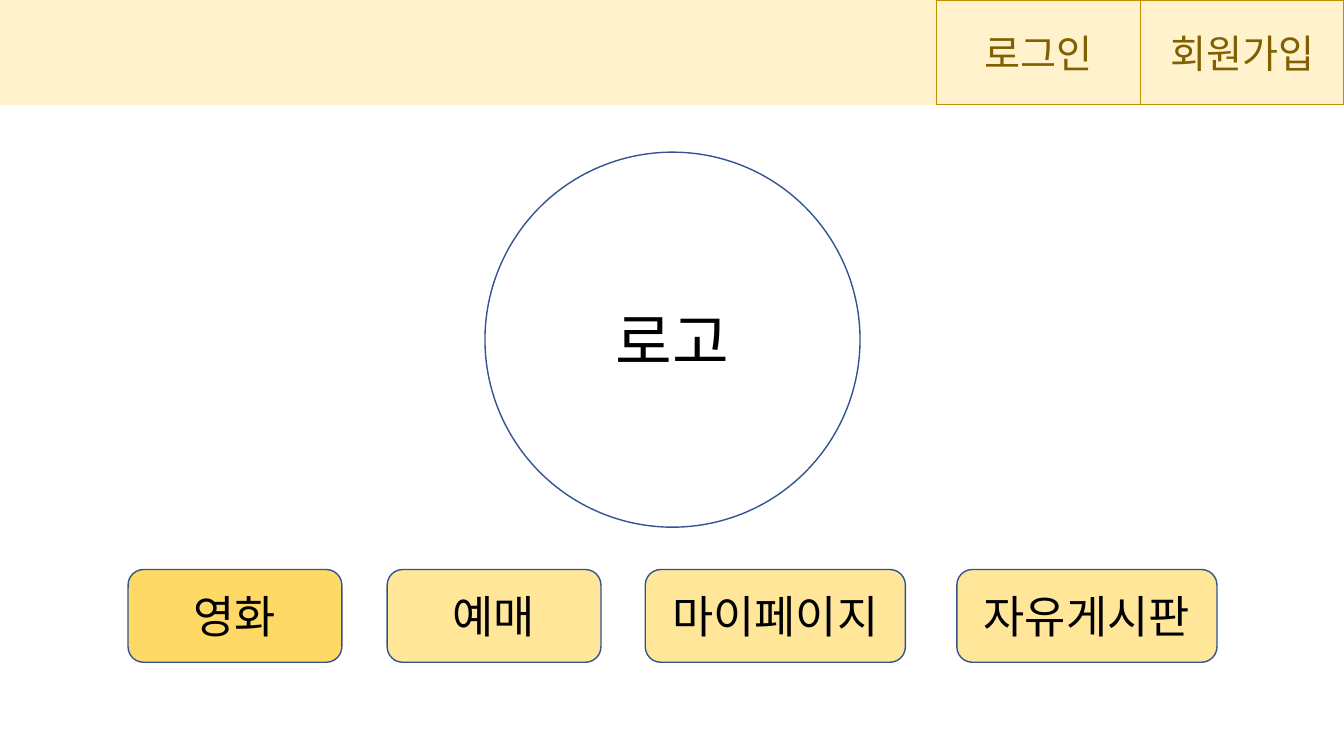
from lxml.etree import SubElement
from pptx import Presentation
from pptx.dml.color import RGBColor
from pptx.enum.shapes import MSO_SHAPE
from pptx.enum.text import MSO_ANCHOR, PP_ALIGN
from pptx.oxml.ns import qn
from pptx.util import Inches, Pt

FONT = "Noto Sans CJK KR"
CREAM = RGBColor(0xFF, 0xF2, 0xCC)
GOLD = RGBColor(0xBF, 0x90, 0x00)
BROWN = RGBColor(0x80, 0x60, 0x00)
BLUE = RGBColor(0x32, 0x54, 0x91)
BLACK = RGBColor(0x00, 0x00, 0x00)
ACTIVE = RGBColor(0xFF, 0xD9, 0x66)
INACTIVE = RGBColor(0xFF, 0xE6, 0x99)

SLIDE_WIDTH, SLIDE_HEIGHT = 13.33, 7.5
HEADER_HEIGHT = 1.04
LINK_WIDTH = 2.02


def add_panel(shapes, preset, box, fill=None, line=None):
    panel = shapes.add_shape(preset, *map(Inches, box))
    panel.shadow.inherit = False
    if fill is None:
        panel.fill.background()
    else:
        panel.fill.solid()
        panel.fill.fore_color.rgb = fill
    if line is None:
        panel.line.fill.background()
    else:
        panel.line.color.rgb = line
        panel.line.width = Pt(1)
    return panel


def add_label(panel, text, size, color):
    frame = panel.text_frame
    frame.text = text
    frame.word_wrap = True
    frame.vertical_anchor = MSO_ANCHOR.MIDDLE
    paragraph = frame.paragraphs[0]
    paragraph.alignment = PP_ALIGN.CENTER
    font = paragraph.runs[0].font
    font.size = Pt(size)
    font.color.rgb = color
    font.name = FONT
    properties = paragraph.runs[0]._r.get_or_add_rPr()
    SubElement(properties, qn("a:ea")).set("typeface", FONT)


def add_header(slide, left, top, width, height):
    add_panel(slide.shapes, MSO_SHAPE.RECTANGLE, (left, top, width, height), CREAM)
    links = ["로그인", "회원가입"]
    links_left = left + width - LINK_WIDTH * len(links)
    for index, text in enumerate(links):
        box = (links_left + index * LINK_WIDTH, top, LINK_WIDTH, height)
        link = add_panel(slide.shapes, MSO_SHAPE.RECTANGLE, box, CREAM, GOLD)
        add_label(link, text, 28, BROWN)


def add_emblem(slide, left, top, diameter):
    emblem = add_panel(slide.shapes, MSO_SHAPE.OVAL, (left, top, diameter, diameter), line=BLUE)
    add_label(emblem, "로고", 44, BLACK)


def add_menu(slide, left, top, height):
    menu = slide.shapes.add_group_shape()
    buttons = [
        ("영화", 0, 2.12, ACTIVE),
        ("예매", 2.57, 2.12, INACTIVE),
        ("마이페이지", 5.13, 2.58, INACTIVE),
        ("자유게시판", 8.22, 2.58, INACTIVE),
    ]
    for text, offset, width, fill in buttons:
        box = (left + offset, top, width, height)
        button = add_panel(menu.shapes, MSO_SHAPE.ROUNDED_RECTANGLE, box, fill, BLUE)
        add_label(button, text, 32, BLACK)


def main():
    presentation = Presentation()
    presentation.slide_width = Inches(SLIDE_WIDTH)
    presentation.slide_height = Inches(SLIDE_HEIGHT)
    slide = presentation.slides.add_slide(presentation.slide_layouts[6])
    add_header(slide, 0, 0, SLIDE_WIDTH, HEADER_HEIGHT)
    add_emblem(slide, 4.81, 1.51, 3.72)
    add_menu(slide, 1.27, 5.65, 0.92)
    presentation.save("out.pptx")


if __name__ == "__main__":
    main()
